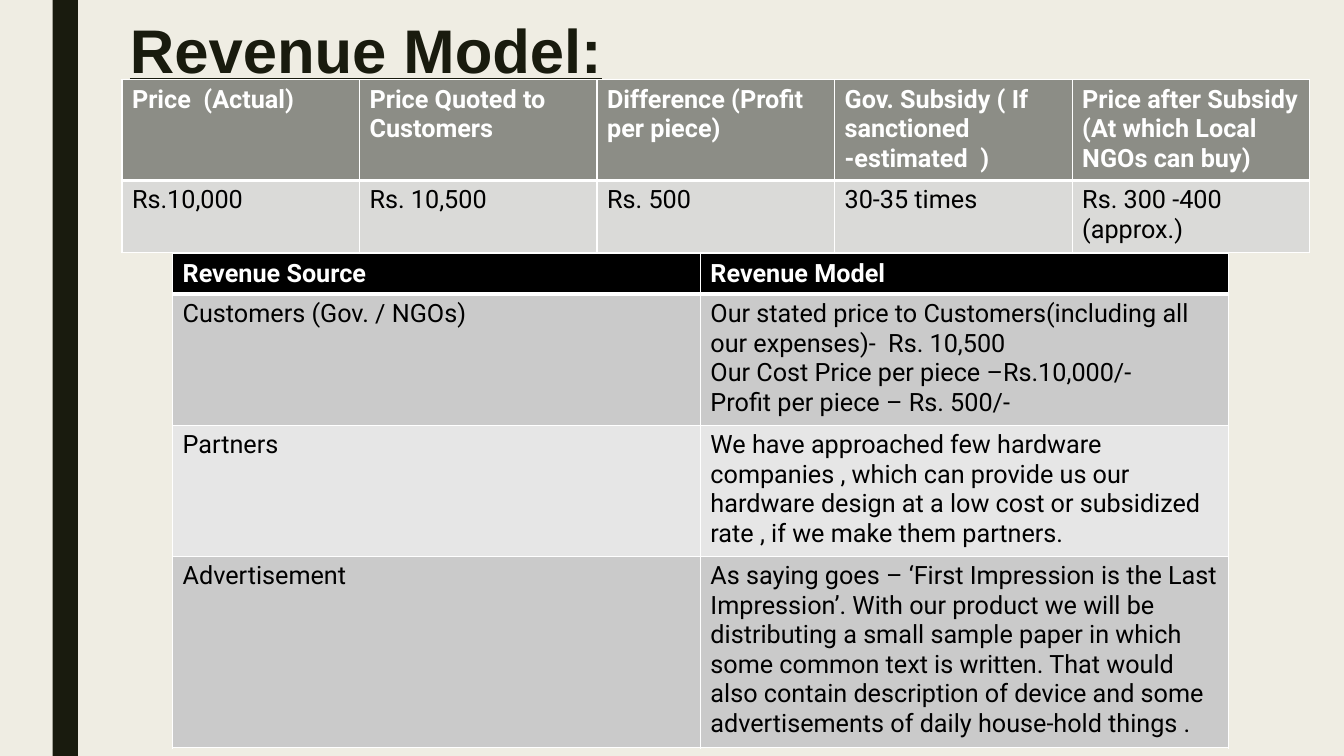
from dataclasses import dataclass

from lxml.etree import SubElement
from pptx import Presentation
from pptx.dml.color import RGBColor
from pptx.enum.shapes import MSO_SHAPE
from pptx.enum.text import MSO_ANCHOR
from pptx.oxml.ns import qn
from pptx.slide import Slide
from pptx.table import _Cell
from pptx.util import Pt

CREAM = RGBColor(0xEF, 0xED, 0xE3)
INK = RGBColor(0x19, 0x1B, 0x0E)
BLACK = RGBColor(0, 0, 0)
WHITE = RGBColor(0xFF, 0xFF, 0xFF)
OLIVE_GREY = RGBColor(0x8C, 0x8D, 0x86)
PALE_OLIVE = RGBColor(0xDA, 0xDA, 0xD8)
MID_GREY = RGBColor(0xCA, 0xCA, 0xCA)
PALE_GREY = RGBColor(0xE6, 0xE6, 0xE6)

THIN, THICK = 1, 3


@dataclass(frozen=True)
class Row:
    height: float
    fill: RGBColor
    texts: tuple[str, ...]


@dataclass(frozen=True)
class Grid:
    left: float
    top: float
    column_width: float
    rows: tuple[Row, ...]


REVENUE = Grid(123.3, 181.3, 377, (
    Row(28.4, BLACK, ("Revenue Source", "Revenue Model")),
    Row(91.9, MID_GREY, (
        "Customers (Gov. / NGOs)",
        "Our stated price to Customers(including all our expenses)-  Rs. 10,500\n"
        "Our Cost Price per piece –Rs.10,000/-\n"
        "Profit per piece – Rs. 500/-")),
    Row(91.9, PALE_GREY, (
        "Partners",
        "We have approached few hardware companies , which can provide us our "
        "hardware design at a low cost or subsidized rate , if we make them partners.")),
    Row(133.8, MID_GREY, (
        "Advertisement",
        "As saying goes – ‘First Impression is the Last Impression’. With our product "
        "we will be distributing a small sample paper in which some common text is "
        "written. That would also contain description of device and some "
        "advertisements of daily house-hold things .")),
))

PRICES = Grid(87.1, 56.9, 169.7, (
    Row(70.6, OLIVE_GREY, (
        "Price  (Actual)",
        "Price Quoted to Customers",
        "Difference (Profit per piece)",
        "Gov. Subsidy ( If sanctioned  -estimated  )",
        "Price after Subsidy\n(At which Local NGOs can buy)")),
    Row(51.5, PALE_OLIVE, (
        "Rs.10,000", "Rs. 10,500", "Rs. 500", "30-35 times",
        "Rs. 300 -400 (approx.)")),
))


def set_borders(cell: _Cell, row_index: int) -> None:
    """Draw white cell edges, with a thick rule under the header row."""
    widths = {
        "a:lnL": THIN,
        "a:lnR": THIN,
        "a:lnT": THICK if row_index == 1 else THIN,
        "a:lnB": THICK if row_index == 0 else THIN,
    }
    properties = cell._tc.get_or_add_tcPr()
    for tag, width in widths.items():
        line = SubElement(properties, qn(tag), w=str(Pt(width)))
        fill = SubElement(line, qn("a:solidFill"))
        SubElement(fill, qn("a:srgbClr"), val=str(WHITE))


def add_grid(page: Slide, grid: Grid) -> None:
    column_count = len(grid.rows[0].texts)
    table = page.shapes.add_table(
        len(grid.rows), column_count, Pt(grid.left), Pt(grid.top),
        Pt(grid.column_width * column_count),
        Pt(sum(row.height for row in grid.rows))).table
    table.horz_banding = False
    for column in table.columns:
        column.width = Pt(grid.column_width)
    for row_index, row in enumerate(grid.rows):
        table.rows[row_index].height = Pt(row.height)
        is_header = row_index == 0
        text_format = {"name": "Roboto", "size": Pt(18), "bold": is_header}
        for column_index, text in enumerate(row.texts):
            cell = table.cell(row_index, column_index)
            set_borders(cell, row_index)
            cell.fill.solid()
            cell.fill.fore_color.rgb = row.fill
            cell.text_frame.text = text
            for para in cell.text_frame.paragraphs:
                for span in para.runs:
                    for name, value in text_format.items():
                        setattr(span.font, name, value)
                    span.font.color.rgb = WHITE if is_header else BLACK


def add_side_bar(page: Slide) -> None:
    bar = page.shapes.add_shape(
        MSO_SHAPE.RECTANGLE, Pt(37.6), Pt(0), Pt(18), Pt(540))
    bar.shadow.inherit = False
    bar.fill.solid()
    bar.fill.fore_color.rgb = INK
    bar.line.fill.background()


def add_title(page: Slide) -> None:
    box = page.shapes.add_textbox(Pt(85.7), Pt(7.9), Pt(756), Pt(60.5))
    box.text_frame.word_wrap = True
    box.text_frame.vertical_anchor = MSO_ANCHOR.MIDDLE
    para = box.text_frame.paragraphs[0]
    para.line_spacing = 0.89
    span = para.add_run()
    span.text = "Revenue Model:"
    title_format = {"name": "Arial", "size": Pt(44), "bold": True, "underline": True}
    for name, value in title_format.items():
        setattr(span.font, name, value)
    span.font.color.rgb = INK


def main() -> None:
    deck = Presentation()
    deck.slide_width, deck.slide_height = Pt(960), Pt(540)
    page = deck.slides.add_slide(deck.slide_layouts[6])
    page.background.fill.solid()
    page.background.fill.fore_color.rgb = CREAM
    add_side_bar(page)
    add_title(page)
    for grid in (REVENUE, PRICES):
        add_grid(page, grid)
    deck.save("out.pptx")


if __name__ == "__main__":
    main()
